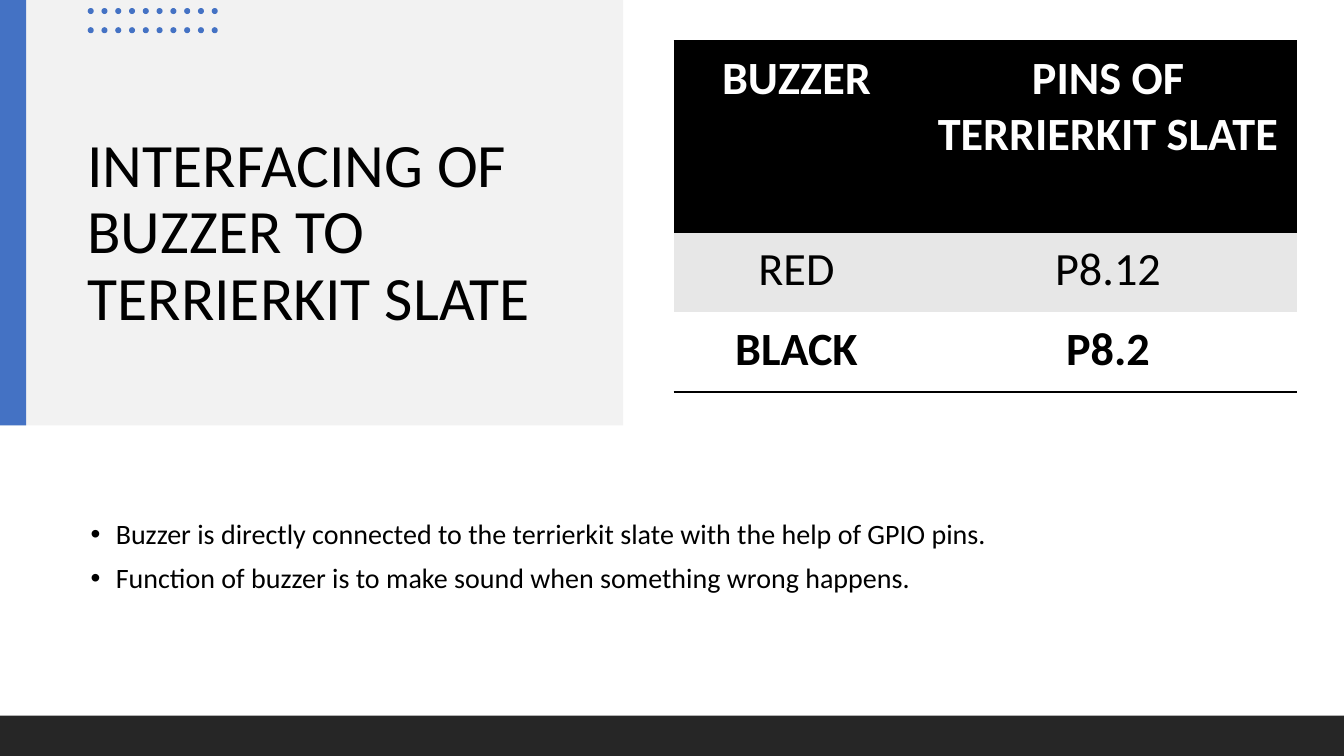
from lxml import etree
from pptx import Presentation
from pptx.dml.color import RGBColor
from pptx.enum import shapes, text
from pptx.oxml import ns
from pptx.util import Inches, Pt

TITLE = "INTERFACING OF BUZZER TO TERRIERKIT SLATE"
POINTS = [
    "Buzzer is directly connected to the terrierkit slate with the help of GPIO pins.",
    "Function of buzzer is to make sound when something wrong happens.",
]
# cell texts, row height, fill, text colour, bold, ruled edge
PIN_ROWS = [
    (("BUZZER", "PINS OF TERRIERKIT SLATE"), 1.9, "black", "white", True, "lnT"),
    (("RED", "P8.12"), 0.79, "band", "black", False, None),
    (("BLACK", "P8.2"), 0.79, "white", "black", True, "lnB"),
]
PIN_COLUMNS = (2.44, 3.74)
THEME = {
    "font": "Calibri", "title": 44, "body": 20, "table": 33, "rule": 2.25,
    "black": "000000", "white": "FFFFFF", "panel": "F2F2F2",
    "accent": "4472C4", "footer": "262626", "band": "E7E7E7",
}
DOT_COLUMNS, DOT_ROWS = 10, 2
DOT_LEFT, DOT_TOP, DOT_SIZE = 0.87, 0.08, 0.06
DOT_STEP_X, DOT_STEP_Y = 1.23 / 9, 0.19
NO_STYLE_NO_GRID = "{2D5ABB26-0587-4C30-8999-92F81FD0307C}"


def color(name):
    return RGBColor.from_string(THEME[name])


def add_filled(parent, kind, box, fill):
    shape = parent.add_shape(kind, *map(Inches, box))
    shape.shadow.inherit = False
    shape.fill.solid()
    shape.fill.fore_color.rgb = color(fill)
    shape.line.fill.background()


def add_frame(slide, box):
    frame = slide.shapes.add_textbox(*map(Inches, box)).text_frame
    frame.word_wrap = True
    frame.vertical_anchor = text.MSO_ANCHOR.MIDDLE
    return frame


def style(paragraph, size, ink="black", bold=False):
    font = paragraph.font
    font.name, font.size, font.bold = THEME["font"], Pt(THEME[size]), bold
    font.color.rgb = color(ink)


def add_bullet(paragraph):
    properties = paragraph._p.get_or_add_pPr()
    properties.set("marL", str(Inches(0.25)))
    properties.set("indent", str(Inches(-0.25)))
    etree.SubElement(properties, ns.qn("a:buFont"), typeface="Arial")
    etree.SubElement(properties, ns.qn("a:buChar"), char="•")


def rule_edge(cell, edge):
    line = etree.Element(ns.qn(f"a:{edge}"), w=str(Pt(THEME["rule"])))
    fill = etree.SubElement(line, ns.qn("a:solidFill"))
    etree.SubElement(fill, ns.qn("a:srgbClr"), val=THEME["black"])
    cell._tc.get_or_add_tcPr().insert(0, line)


def add_dots(slide):
    dots = slide.shapes.add_group_shape().shapes
    for column in range(DOT_COLUMNS):
        for row in range(DOT_ROWS):
            left = DOT_LEFT + column * DOT_STEP_X
            top = DOT_TOP + row * DOT_STEP_Y
            add_filled(dots, shapes.MSO_SHAPE.OVAL,
                       (left, top, DOT_SIZE, DOT_SIZE), "accent")


def add_points(slide):
    frame = add_frame(slide, (0.8, 4.48, 11.79, 2.4))
    frame.margin_bottom = Inches(0.35)
    for index, point in enumerate(POINTS):
        paragraph = frame.add_paragraph() if index else frame.paragraphs[0]
        paragraph.text = point
        paragraph.line_spacing = 0.9
        if index:
            paragraph.space_before = Pt(10)
        add_bullet(paragraph)
        style(paragraph, "body")


def add_pin_table(slide):
    height = sum(row[1] for row in PIN_ROWS)
    table = slide.shapes.add_table(
        len(PIN_ROWS), len(PIN_COLUMNS), Inches(6.68), Inches(0.41),
        Inches(sum(PIN_COLUMNS)), Inches(height)).table
    table._tbl.tblPr.find(ns.qn("a:tableStyleId")).text = NO_STYLE_NO_GRID
    for column, width in zip(table.columns, PIN_COLUMNS):
        column.width = Inches(width)
    for row, (words, height, fill, ink, bold, edge) in zip(table.rows, PIN_ROWS):
        row.height = Inches(height)
        for cell, word in zip(row.cells, words):
            cell.text = word
            cell.margin_left = cell.margin_right = Inches(0.18)
            cell.margin_top = cell.margin_bottom = Inches(0.09)
            cell.fill.solid()
            cell.fill.fore_color.rgb = color(fill)
            paragraph = cell.text_frame.paragraphs[0]
            paragraph.alignment = text.PP_ALIGN.CENTER
            style(paragraph, "table", ink, bold)
            if edge:
                rule_edge(cell, edge)


def main():
    deck = Presentation()
    deck.slide_width, deck.slide_height = Inches(13.33), Inches(7.5)
    slide = deck.slides.add_slide(deck.slide_layouts[6])
    rectangle = shapes.MSO_SHAPE.RECTANGLE

    add_filled(slide.shapes, rectangle, (0, 0, 6.18, 4.22), "panel")
    title = add_frame(slide, (0.77, 0.78, 4.76, 3.08)).paragraphs[0]
    title.text = TITLE
    title.line_spacing = 0.9
    style(title, "title")
    add_filled(slide.shapes, rectangle, (0, 0, 0.26, 4.22), "accent")
    add_dots(slide)
    add_points(slide)
    add_filled(slide.shapes, rectangle, (0, 7.1, 13.33, 0.4), "footer")
    add_pin_table(slide)
    deck.save("out.pptx")


if __name__ == "__main__":
    main()
